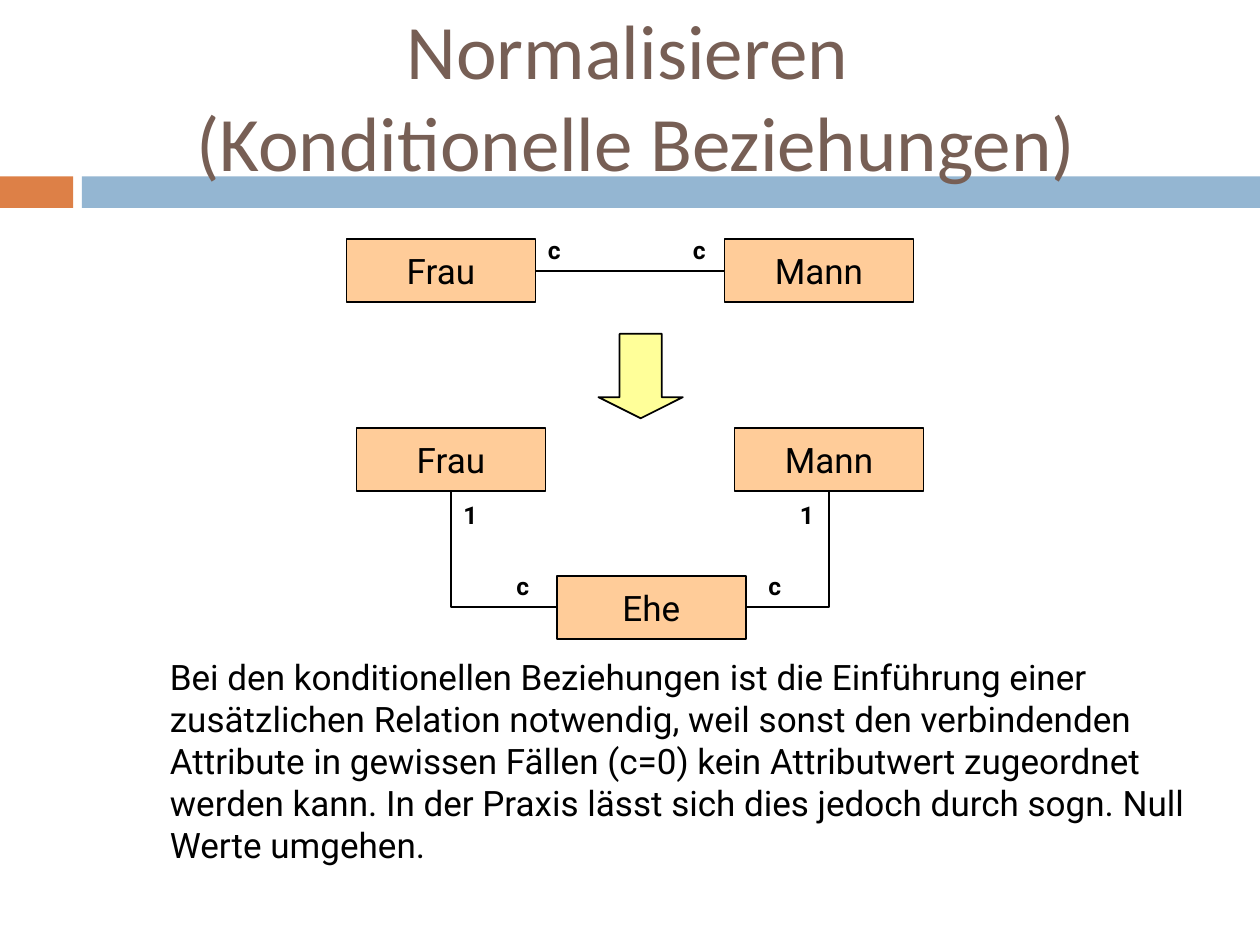
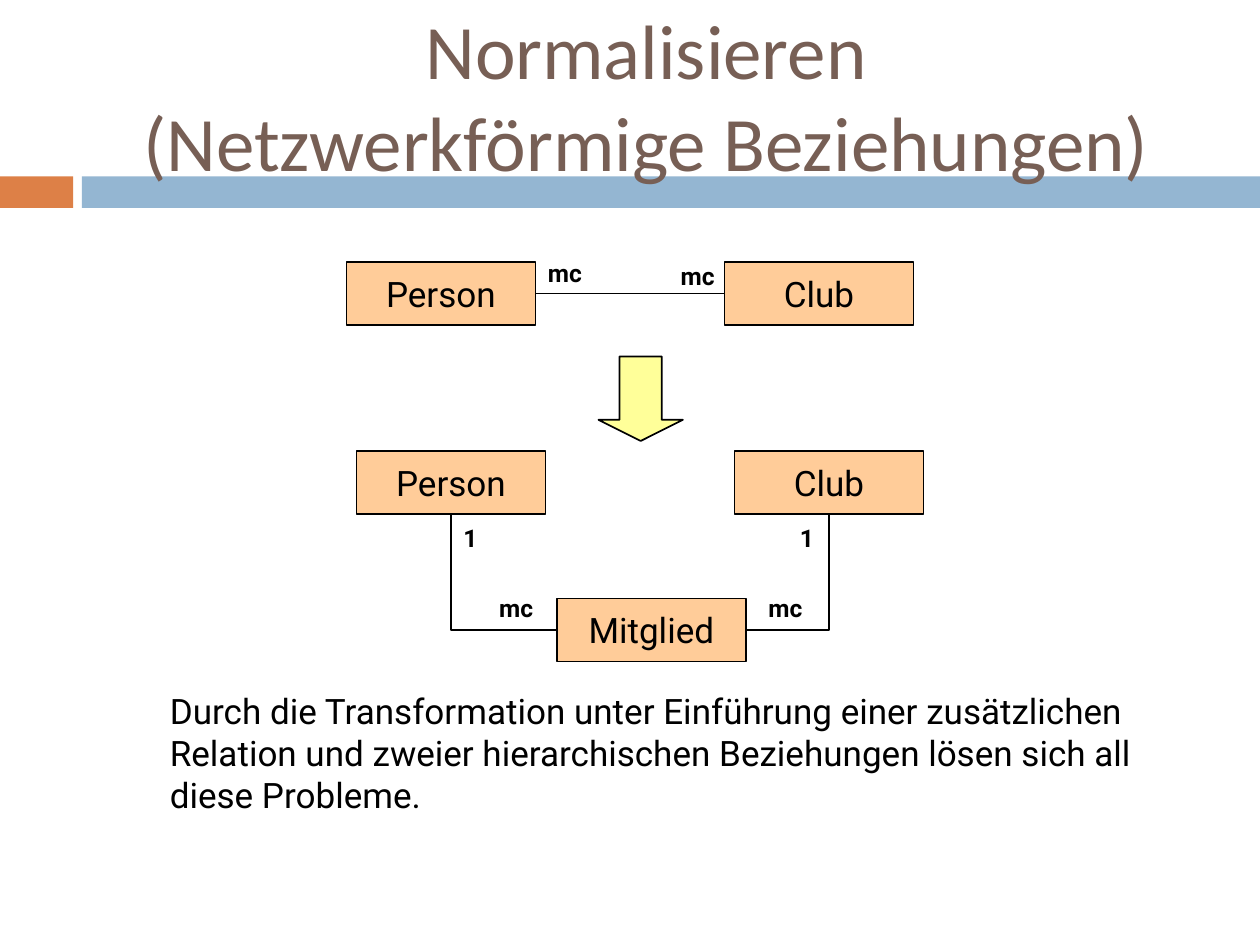
from lxml import etree
from pptx import Presentation
from pptx.dml.color import RGBColor
from pptx.enum import shapes, text
from pptx.oxml.ns import qn
from pptx.util import Inches, Pt

BLACK, ORANGE, BLUE, BROWN = "000000", "DD8047", "94B6D2", "775F55"
BOX_FILL, ARROW_FILL = "FFCC99", "FFFF99"
TITLE_FONT, BODY_FONT = "Calibri", "Roboto"
BOX_W, BOX_H = 1.5, 0.5
LEFT, CENTER, RIGHT = text.PP_ALIGN.LEFT, text.PP_ALIGN.CENTER, text.PP_ALIGN.RIGHT
TOP_SITE, LEFT_SITE, BOTTOM_SITE, RIGHT_SITE = range(4)


def rgb(value):
    return RGBColor.from_string(value)


def add_run(p, content, size, font=BODY_FONT, color=BLACK, bold=False):
    r = p.add_run()
    r.text = content
    r.font.size = Pt(size)
    r.font.name = font
    r.font.color.rgb = rgb(color)
    r.font.bold = bold


def add_block(s, kind, x, y, w, h, fill, line=None):
    sp = s.shapes.add_shape(kind, Inches(x), Inches(y), Inches(w), Inches(h))
    sp.shadow.inherit = False
    sp.fill.solid()
    sp.fill.fore_color.rgb = rgb(fill)
    if line:
        sp.line.color.rgb = rgb(line)
        sp.line.width = Pt(1)
    else:
        sp.line.fill.background()
    return sp


def add_entity(s, name, x, y):
    sp = add_block(s, shapes.MSO_SHAPE.RECTANGLE, x, y, BOX_W, BOX_H, BOX_FILL, BLACK)
    tf = sp.text_frame
    tf.word_wrap = False
    tf.vertical_anchor = text.MSO_ANCHOR.MIDDLE
    p = tf.paragraphs[0]
    p.alignment = CENTER
    add_run(p, name, 20)
    return sp


def add_text(s, content, x, y, w, h, size, bold=False, align=LEFT):
    tf = s.shapes.add_textbox(Inches(x), Inches(y), Inches(w), Inches(h)).text_frame
    tf.word_wrap = True
    p = tf.paragraphs[0]
    p.alignment = align
    add_run(p, content, size, bold=bold)


def connect(s, start, start_site, end, end_site, bent=False):
    kind = shapes.MSO_CONNECTOR.ELBOW if bent else shapes.MSO_CONNECTOR.STRAIGHT
    cx = s.shapes.add_connector(kind, 0, 0, 0, 0)
    cx.begin_connect(start, start_site)
    cx.end_connect(end, end_site)
    cx.line.color.rgb = rgb(BLACK)
    cx.line.width = Pt(1)
    spPr = cx.element.spPr
    if bent:
        spPr.find(qn("a:prstGeom")).set("prst", "bentConnector2")
    etree.SubElement(spPr, qn("a:effectLst"))


def add_master_bands(prs, s):
    tree = prs.slide_master.shapes.element
    for i, (x, w, fill) in enumerate([(0, 0.58, ORANGE), (0.65, 9.35, BLUE)]):
        sp = add_block(s, shapes.MSO_SHAPE.RECTANGLE, x, 1.4, w, 0.25, fill)
        sp.element.nvSpPr.cNvPr.set("id", str(20 + i))
        tree.insert(2 + i, sp.element)


def add_title(s, lines, x):
    title = s.shapes.title
    title.left, title.top = Inches(x), Inches(0.21)
    title.width, title.height = Inches(8.92), Inches(1.08)
    tf = title.text_frame
    tf.word_wrap = True
    tf.auto_size = text.MSO_AUTO_SIZE.NONE
    tf.vertical_anchor = text.MSO_ANCHOR.MIDDLE
    p = tf.paragraphs[0]
    p.alignment = CENTER
    for i, line in enumerate(lines):
        if i:
            p.add_line_break()
        add_run(p, line, 44, TITLE_FONT, BROWN)


def add_diagram(s, top, left_name, right_name, link_name, degree, own_labels):
    before_left = add_entity(s, left_name, 2.75, top)
    before_right = add_entity(s, right_name, 5.75, top)
    connect(s, before_left, RIGHT_SITE, before_right, LEFT_SITE)

    arrow = add_block(s, shapes.MSO_SHAPE.DOWN_ARROW, 4.75, top + 0.75, 0.67, 0.67,
                      ARROW_FILL, BLACK)
    arrow.adjustments[0], arrow.adjustments[1] = 0.5, 0.25

    after_left = add_entity(s, left_name, 2.83, top + 1.5)
    after_right = add_entity(s, right_name, 5.83, top + 1.5)
    link = add_entity(s, link_name, 4.42, top + 2.67)
    connect(s, link, LEFT_SITE, after_left, BOTTOM_SITE, bent=True)
    connect(s, link, RIGHT_SITE, after_right, BOTTOM_SITE, bent=True)

    labels = [
        (degree, 4.25, -0.08, 0.5, LEFT),
        (degree, 6, 2.58, 0.5, LEFT),
        ("1", 3.58, 2.02, 0.33, LEFT),
        ("1", 6.25, 2.02, 0.33, LEFT),
    ]
    labels += [(degree, *place) for place in own_labels]
    for content, x, dy, w, align in labels:
        add_text(s, content, x, top + dy, w, 0.33, 14, bold=True, align=align)


def main():
    prs = Presentation()
    prs.slide_width, prs.slide_height = Inches(10), Inches(7.5)
    layout = prs.slide_layouts[5]

    s = prs.slides.add_slide(layout)
    add_master_bands(prs, s)
    add_title(s, ["Normalisieren ", "(Konditionelle Beziehungen)"], 0.59)
    add_diagram(s, 1.9, "Frau", "Mann", "Ehe", "c",
                [(5.4, -0.08, 0.33, LEFT), (4, 2.58, 0.33, LEFT)])
    add_text(s, "Bei den konditionellen Beziehungen ist die Einführung einer zusätzlichen "
             "Relation notwendig, weil sonst den verbindenden Attribute in gewissen Fällen "
             "(c=0) kein Attributwert zugeordnet werden kann. In der Praxis lässt sich dies "
             "jedoch durch sogn. Null Werte umgehen.", 1.25, 5.15, 8.33, 1.77, 20)

    s = prs.slides.add_slide(layout)
    add_title(s, ["Normalisieren", "(Netzwerkförmige Beziehungen)"], 0.67)
    add_diagram(s, 2.08, "Person", "Club", "Mitglied", "mc",
                [(5.25, -0.06, 0.52, RIGHT), (3.75, 2.58, 0.58, RIGHT)])
    add_text(s, "Durch die Transformation unter Einführung einer zusätzlichen Relation und "
             "zweier hierarchischen Beziehungen lösen sich all diese Probleme.",
             1.25, 5.42, 8.33, 1.1, 20)

    prs.save("out.pptx")


if __name__ == "__main__":
    main()
